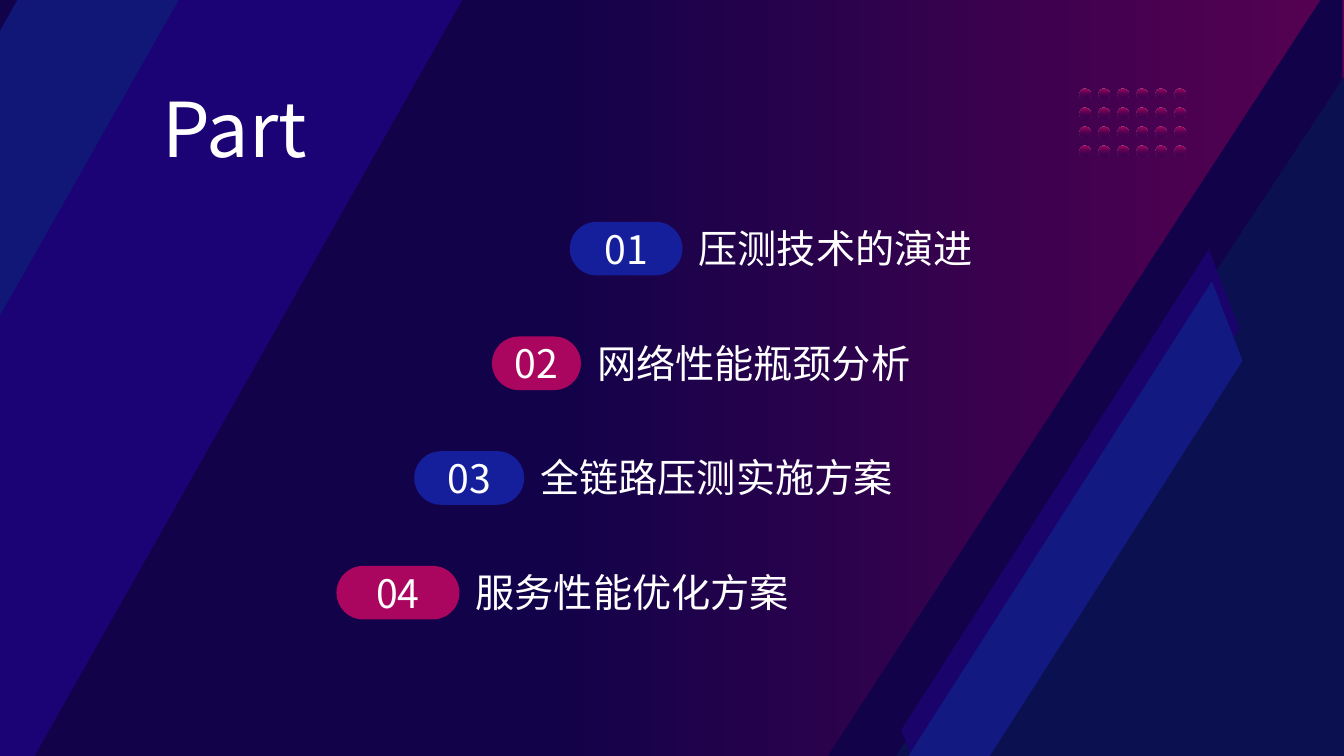
"""Build the dark agenda slide with diagonal bands and four numbered topics."""
from dataclasses import dataclass
from itertools import product
from typing import Any

from lxml.etree import SubElement
from pptx import Presentation
from pptx.dml.color import RGBColor
from pptx.dml.fill import FillFormat
from pptx.enum.shapes import MSO_SHAPE as Preset
from pptx.enum.text import MSO_ANCHOR as Anchor, MSO_AUTO_SIZE as AutoSize, PP_ALIGN as Align
from pptx.oxml.ns import qn
from pptx.shapes.autoshape import Shape
from pptx.slide import Slide
from pptx.util import Cm, Pt

FONT = "Noto Sans CJK SC"
COLORS = {
    "night": "120249",
    "wine": "570152",
    "navy": "111777",
    "violet": "1B0375",
    "deep": "0B1050",
    "edge": "1A036B",
    "stripe": "121981",
    "magenta": "B30660",
    "blue": "151F9B",
    "pink": "AB065F",
    "white": "FFFFFF",
}
PILL_FORMAT = {"vertical_anchor": Anchor.MIDDLE, "word_wrap": True}
LABEL_FORMAT = {"vertical_anchor": Anchor.TOP, "word_wrap": True, "auto_size": AutoSize.SHAPE_TO_FIT_TEXT}


@dataclass(frozen=True)
class Band:
    """A plain background shape, measured in centimetres."""
    preset: Preset
    left: float
    top: float
    width: float
    height: float
    color: str
    rotation: float = 0
    flipped: bool = False


@dataclass(frozen=True)
class Topic:
    """One agenda line with the widths of its pill and label."""
    label: str
    color: str
    pill_width: float
    label_width: float


BANDS = [
    Band(Preset.RIGHT_TRIANGLE, 20.85, -0.84, 12.98, 19.91, "night", flipped=True),
    Band(Preset.RECTANGLE, -4.24, -4.83, 6.22, 27.84, "navy", 29.5),
    Band(Preset.RECTANGLE, -0.81, -3.71, 6.22, 27.84, "violet", 29.5),
    Band(Preset.RIGHT_TRIANGLE, 22.53, 1.93, 11.35, 17.2, "deep", flipped=True),
    Band(Preset.PARALLELOGRAM, 19.15, 12.47, 15.65, 1.73, "edge", 302.6),
    Band(Preset.PARALLELOGRAM, 19.23, 13.28, 15.65, 1.73, "stripe", 302.6),
]
TOPICS = [
    Topic("压测技术的演进", "blue", 2.84, 11.05),
    Topic("网络性能瓶颈分析", "pink", 2.24, 10.13),
    Topic("全链路压测实施方案", "blue", 2.77, 10.03),
    Topic("服务性能优化方案", "pink", 3.1, 9.45),
]


def rgb(name: str) -> RGBColor:
    """Look up a named colour."""
    return RGBColor.from_string(COLORS[name])


def apply_format(target: Any, values: dict[str, Any]) -> None:
    """Set each named attribute on the target."""
    for name, value in values.items():
        setattr(target, name, value)


def fill_gradient(fill: FillFormat, angle: float, stops: list[tuple[float, str]]) -> None:
    """Apply a linear two-stop gradient."""
    fill.gradient()
    fill.gradient_angle = angle
    for stop, (position, color) in zip(fill.gradient_stops, stops):
        stop.position = position
        stop.color.rgb = rgb(color)


def add_plain_shape(slide: Slide, preset: Preset, left: float, top: float, width: float, height: float) -> Shape:
    """Add a preset shape without line or shadow."""
    shape = slide.shapes.add_shape(preset, Cm(left), Cm(top), Cm(width), Cm(height))
    shape.shadow.inherit = False
    shape.line.fill.background()
    return shape


def add_solid_shape(slide: Slide, color: str, preset: Preset, *box: float) -> Shape:
    """Add a plain shape with one solid colour."""
    shape = add_plain_shape(slide, preset, *box)
    shape.fill.solid()
    shape.fill.fore_color.rgb = rgb(color)
    return shape


def write_text(shape: Shape, text: str, size: float, align: Align, frame_format: dict[str, Any]) -> None:
    """Write one white line of text into a shape."""
    apply_format(shape.text_frame, frame_format)
    paragraph = shape.text_frame.paragraphs[0]
    paragraph.alignment = align
    run = paragraph.add_run()
    run.text = text
    apply_format(run.font, {"name": FONT, "size": Pt(size)})
    run.font.color.rgb = rgb("white")
    SubElement(shape.element.xpath(".//a:rPr")[0], qn("a:ea"), typeface=FONT)


def add_band(slide: Slide, band: Band) -> None:
    """Draw one background band."""
    shape = add_solid_shape(slide, band.color, band.preset, band.left, band.top, band.width, band.height)
    shape.rotation = band.rotation
    if band.flipped:
        shape.element.xpath(".//a:xfrm")[0].set("flipH", "1")
    if band.preset == Preset.PARALLELOGRAM:
        shape.adjustments[0] = 0.734


def add_dots(slide: Slide) -> None:
    """Draw the grid of fading dots."""
    for row, column in product(range(4), range(6)):
        dot = add_plain_shape(slide, Preset.OVAL, 27.2 + 0.48 * column, 2.24 + 0.48 * row, 0.28, 0.28)
        fill_gradient(dot.fill, 90, [(0, "night"), (1, "magenta")])
        SubElement(dot.element.xpath(".//a:gs/a:srgbClr")[0], qn("a:alpha"), val="0")


def add_title(slide: Slide) -> None:
    """Place the title in front of the bands."""
    title = slide.shapes.title
    slide.shapes.element.append(title.element)
    apply_format(title, {"left": Cm(3.84), "top": Cm(1.93), "width": Cm(11.89), "height": Cm(2.57)})
    write_text(title, "Part", 54, Align.LEFT, LABEL_FORMAT)


def add_topic(slide: Slide, index: int, topic: Topic) -> None:
    """Draw a numbered pill and its label, stepped along the diagonal."""
    left, top = 14.36 - 1.96 * index, 5.59 + 2.89 * index
    pill = add_solid_shape(slide, topic.color, Preset.ROUNDED_RECTANGLE, left, top, topic.pill_width, 1.35)
    pill.adjustments[0] = 0.5
    write_text(pill, f"{index + 1:02}", 28, Align.CENTER, PILL_FORMAT)
    label_left = left + topic.pill_width + 0.16
    label = slide.shapes.add_textbox(Cm(label_left), Cm(top - 0.06), Cm(topic.label_width), Cm(1.45))
    write_text(label, topic.label, 28, Align.LEFT, LABEL_FORMAT)


def main() -> None:
    """Build and save the presentation."""
    presentation = Presentation()
    apply_format(presentation, {"slide_width": Cm(33.87), "slide_height": Cm(19.05)})
    slide = presentation.slides.add_slide(presentation.slide_layouts.get_by_name("Title Only"))
    fill_gradient(slide.background.fill, 0, [(0.4, "night"), (1, "wine")])
    for band in BANDS:
        add_band(slide, band)
    add_dots(slide)
    add_title(slide)
    for index, topic in enumerate(TOPICS):
        add_topic(slide, index, topic)
    presentation.save("out.pptx")


if __name__ == "__main__":
    main()
